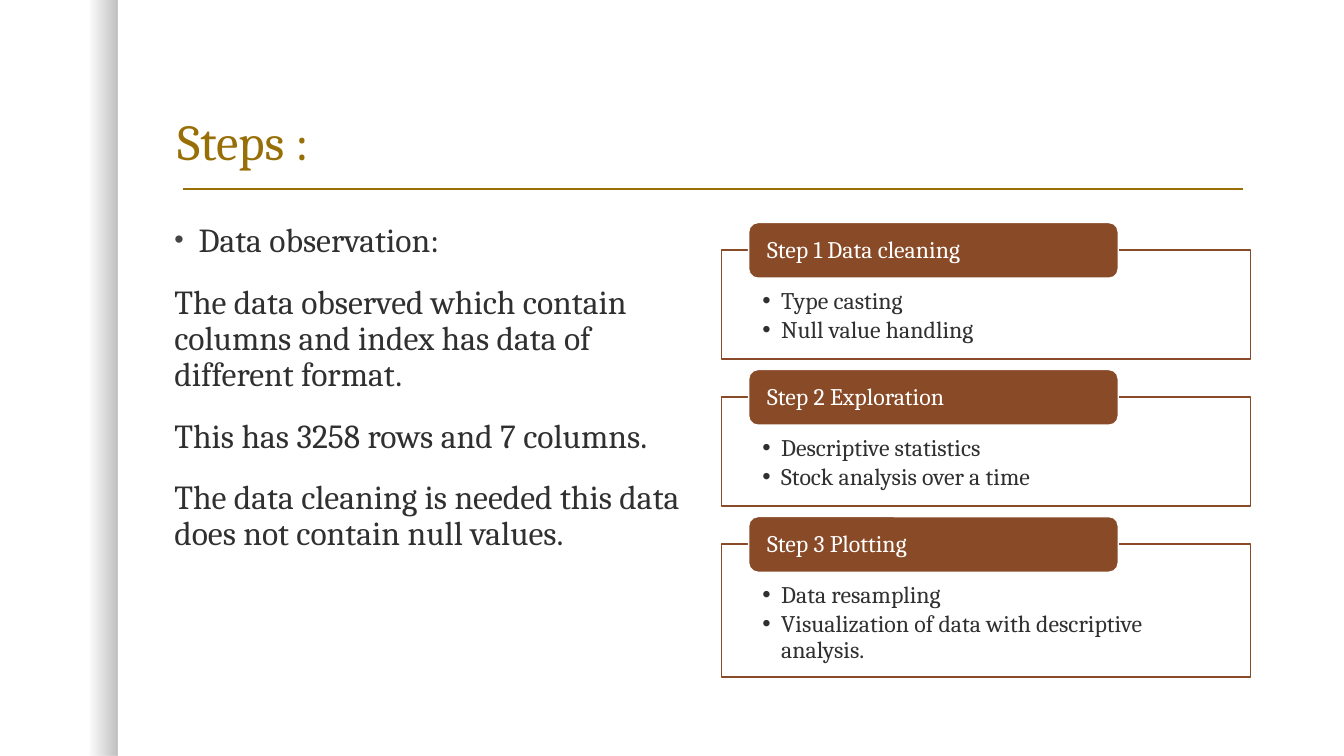
from dataclasses import dataclass

from lxml.etree import SubElement
from pptx import Presentation
from pptx.dml.color import RGBColor as Rgb
from pptx.enum.shapes import MSO_CONNECTOR as Connector, MSO_SHAPE as Shape
from pptx.enum.text import MSO_ANCHOR as Anchor, MSO_AUTO_SIZE as AutoSize, PP_ALIGN as Align
from pptx.oxml.ns import qn
from pptx.util import Pt

PX = 9525


@dataclass(frozen=True)
class Theme:
    """Colours, font and type sizes of the deck."""
    font: str = "Cambria"
    gold: str = "986F07"
    brown: str = "894A27"
    ink: str = "303030"
    bullet: str = "454545"
    white: str = "FFFFFF"
    black: str = "000000"
    title_size: int = 36
    body_size: int = 24
    step_size: int = 17
    line_width: int = 1
    line_spacing: float = 0.9


THEME = Theme()
OBSERVATIONS = [
    "Data observation:",
    "The data observed which contain columns and index has data of different format.",
    "This has 3258 rows and 7 columns.",
    "The data cleaning is needed this data does not contain null values.",
]
STEPS = [
    ("Step 1 Data cleaning", ["Type casting", "Null value handling"], 104),
    ("Step 2 Exploration", ["Descriptive statistics", "Stock analysis over a time"], 104),
    ("Step 3 Plotting",
     ["Data resampling", "Visualization of data with descriptive analysis."], 127),
]


def emu(*lengths):
    """Turn px lengths into EMU."""
    return [length * PX for length in lengths]


def set_alpha(colour, percent):
    """Give a colour element an opacity in percent."""
    SubElement(colour, qn("a:alpha"), val=str(percent * 1000))


def add_bullet(para, indent, colour, percent=100):
    """Hang a round bullet in front of a paragraph."""
    props = para._p.get_or_add_pPr()
    props.set("marL", str(indent * PX))
    props.set("indent", str(-indent * PX))
    SubElement(SubElement(props, qn("a:buClr")), qn("a:srgbClr"), val=colour)
    SubElement(props, qn("a:buSzPct"), val=str(percent * 1000))
    SubElement(props, qn("a:buFont"), typeface="Arial")
    SubElement(props, qn("a:buChar"), char="•")


def write(frame, texts, size, colour, insets=(10, 5, 10, 5), anchor=Anchor.TOP,
          before=0, after=0):
    """Fill a text frame with left-aligned paragraphs and return them."""
    frame.word_wrap = True
    frame.auto_size = AutoSize.NONE
    frame.vertical_anchor = anchor
    (frame.margin_left, frame.margin_top,
     frame.margin_right, frame.margin_bottom) = emu(*insets)
    for index, text in enumerate(texts):
        para = frame.add_paragraph() if index else frame.paragraphs[0]
        para.alignment = Align.LEFT
        para.line_spacing = THEME.line_spacing
        para.space_before, para.space_after = Pt(before), Pt(after)
        span = para.add_run()
        span.text = text
        span.font.name, span.font.size = THEME.font, Pt(size)
        span.font.color.rgb = Rgb.from_string(colour)
    return frame.paragraphs


def add_panel(page, kind, box, fill, line):
    """Add a flat filled shape with a thin outline."""
    panel = page.shapes.add_shape(kind, *emu(*box))
    panel.shadow.inherit = False
    panel.fill.solid()
    panel.fill.fore_color.rgb = Rgb.from_string(fill)
    panel.line.color.rgb = Rgb.from_string(line)
    panel.line.width = Pt(THEME.line_width)
    return panel


def add_edge(page, box):
    """Add the strip at the left that darkens towards its right side."""
    edge = page.shapes.add_shape(Shape.RECTANGLE, *emu(*box))
    edge.shadow.inherit = False
    edge.line.fill.background()
    edge.fill.gradient()
    edge.fill.gradient_angle = 0
    for stop, (position, opacity) in zip(edge.fill.gradient_stops, [(0.75, 0), (1, 25)]):
        stop.position = position
        stop.color.rgb = Rgb.from_string(THEME.black)
    for colour, opacity in zip(edge._element.spPr.iter(qn("a:srgbClr")), (0, 25)):
        set_alpha(colour, opacity)


def add_heading(page, box, text):
    """Place the title and the rule beneath it."""
    left, top, width, height = box
    title = page.shapes.title
    title.left, title.top, title.width, title.height = emu(*box)
    write(title.text_frame, [text], THEME.title_size, THEME.gold, anchor=Anchor.BOTTOM)
    rule_y = top + height + 12
    rule = page.shapes.add_connector(
        Connector.STRAIGHT, *emu(left + 15, rule_y, left + width - 7, rule_y))
    rule.line.color.rgb = Rgb.from_string(THEME.gold)
    rule.line.width = Pt(THEME.line_width)
    SubElement(rule._element.spPr, qn("a:effectLst"))


def add_observations(page, box, texts):
    """Write the observations, the first one bulleted."""
    frame = page.shapes.add_textbox(*emu(*box)).text_frame
    paras = write(frame, texts, THEME.body_size, THEME.ink, before=18)
    add_bullet(paras[0], 23, THEME.bullet, 80)


def add_step(page, box, name, tasks):
    """Draw one step: an outlined task list with a tab on its top edge."""
    left, top, width, height = box
    panel = add_panel(page, Shape.RECTANGLE, box, THEME.white, THEME.brown)
    set_alpha(panel._element.spPr.find(qn("a:solidFill"))[0], 90)
    paras = write(panel.text_frame, tasks, THEME.step_size, THEME.ink,
                  insets=(39, 37, 39, 12), after=2.5)
    for para in paras:
        add_bullet(para, 18, THEME.ink)
    tab_box = (left + 26, top - 26, width * 7 // 10, 53)
    tab = add_panel(page, Shape.ROUNDED_RECTANGLE, tab_box, THEME.brown, THEME.white)
    write(tab.text_frame, [name], THEME.step_size, THEME.white,
          insets=(15, 0, 15, 0), anchor=Anchor.MIDDLE)


def add_steps(page, box, steps):
    """Stack the steps downwards with equal gaps."""
    left, top, width, gap = box
    for name, tasks, height in steps:
        add_step(page, (left, top, width, height), name, tasks)
        top += height + gap


def main():
    """Build and save the deck."""
    deck = Presentation()
    deck.slide_width, deck.slide_height = emu(1280, 720)
    page = deck.slides.add_slide(deck.slide_layouts[5])
    add_edge(page, (0, 0, 112, 720))
    add_heading(page, (159, 40, 1032, 128), "Steps :")
    add_observations(page, (156, 208, 504, 440), OBSERVATIONS)
    add_steps(page, (687, 238, 504, 36), STEPS)
    deck.save("out.pptx")


if __name__ == "__main__":
    main()
